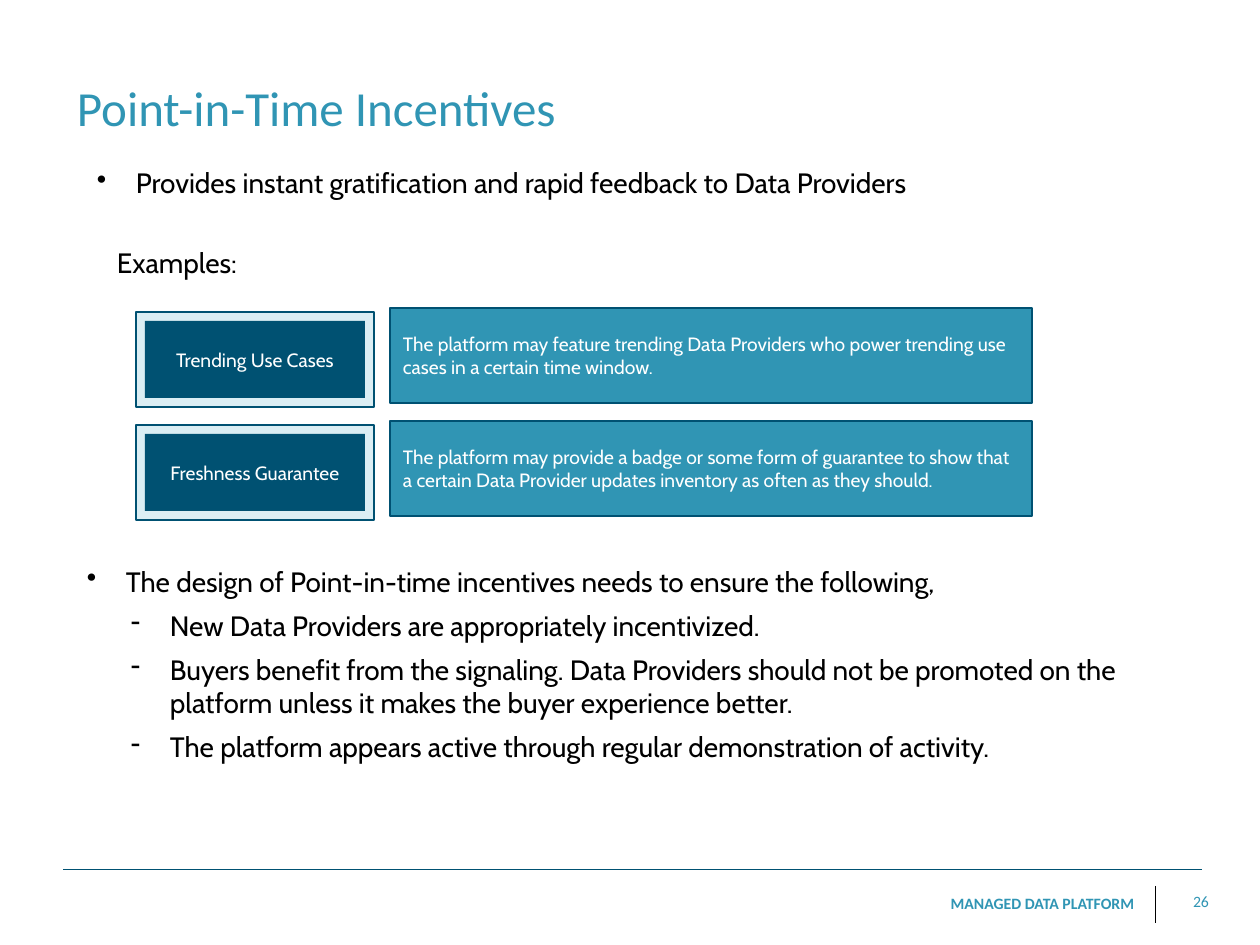
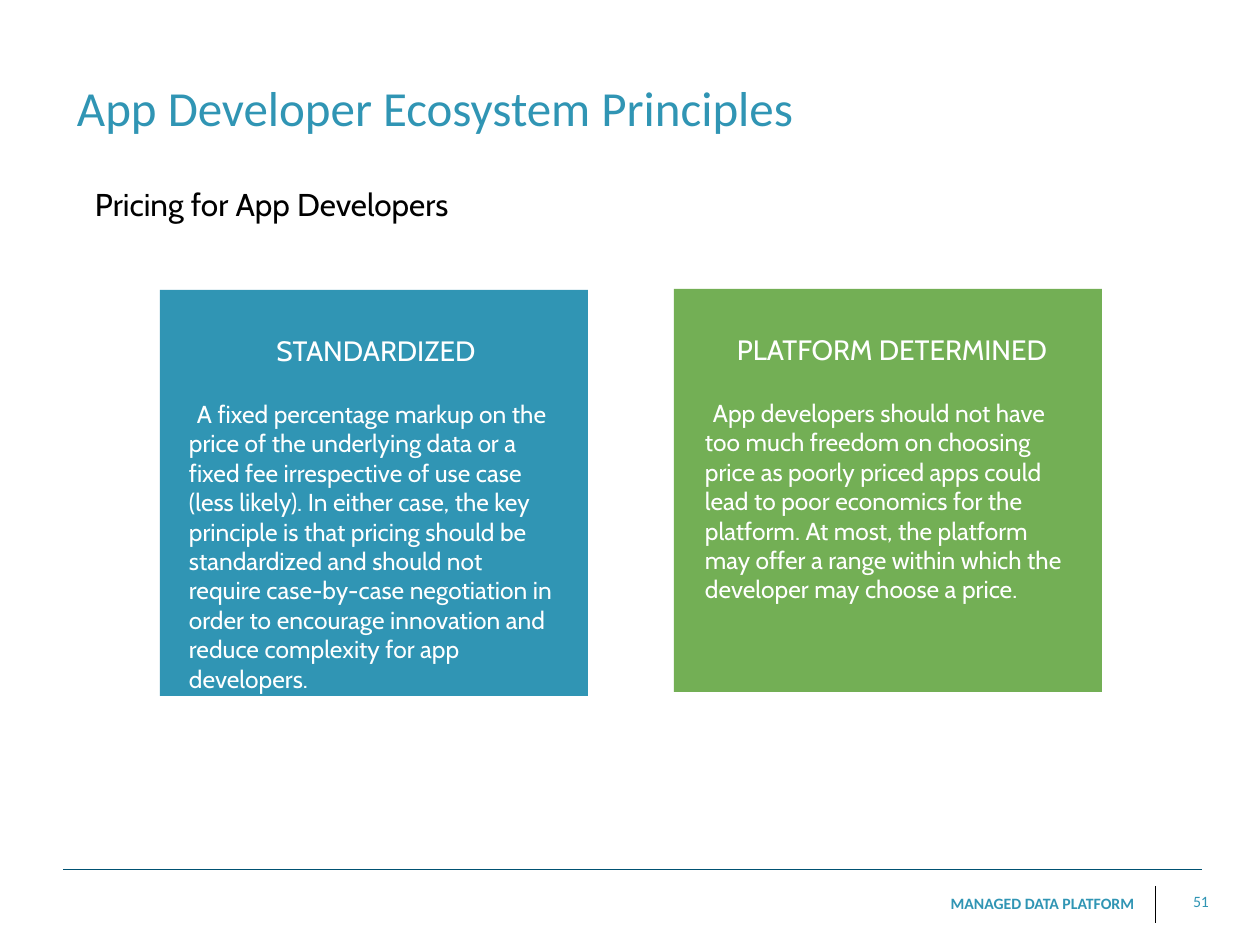
from lxml import etree
from pptx import Presentation
from pptx.dml.color import RGBColor
from pptx.enum.shapes import MSO_CONNECTOR, MSO_SHAPE
from pptx.enum.text import MSO_ANCHOR, MSO_AUTO_SIZE, PP_ALIGN
from pptx.oxml.ns import qn
from pptx.util import Emu, Pt

LEFT, CENTER, RIGHT = PP_ALIGN.LEFT, PP_ALIGN.CENTER, PP_ALIGN.RIGHT
TOP, MIDDLE = MSO_ANCHOR.TOP, MSO_ANCHOR.MIDDLE
RECTANGLE, STRAIGHT = MSO_SHAPE.RECTANGLE, MSO_CONNECTOR.STRAIGHT

EMU_PER_PX = 914400 / 126
SLIDE_SIZE = (1260, 945)
TITLE_BOX = (71, 16, 1135, 181)
TITLE_ONLY = 5
INSET = 6
HEADING_FONT, BODY_FONT = "Calibri", "Cabin"
COLORS = {
    "teal": "3095B4",
    "navy": "005172",
    "ice": "DBEEF4",
    "green": "73AF55",
    "white": "FFFFFF",
    "black": "000000",
}


def px(length):
    return Emu(round(length * EMU_PER_PX))


def color(name):
    return RGBColor.from_string(COLORS[name])


# Drawing helpers

def set_bullet(paragraph, character):
    bullet = etree.SubElement(paragraph._p.get_or_add_pPr(), qn("a:buChar"))
    bullet.set("char", character)


def set_indent(paragraph, margin, first_line):
    properties = paragraph._p.get_or_add_pPr()
    properties.set("marL", str(px(margin)))
    properties.set("indent", str(px(first_line)))


def write_text(shape, *texts, size, font=BODY_FONT, fill="black", bold=False,
               align=LEFT, anchor=TOP, inset=INSET):
    """Fill a shape with paragraphs and return them."""
    frame = shape.text_frame
    frame.word_wrap = True
    frame.auto_size = MSO_AUTO_SIZE.NONE
    frame.vertical_anchor = anchor
    frame.margin_left = frame.margin_right = px(inset)
    frame.margin_top = frame.margin_bottom = px(INSET)
    paragraphs = []
    for index, text in enumerate(texts):
        paragraph = frame.add_paragraph() if index else frame.paragraphs[0]
        paragraph.alignment = align
        paragraph.space_before = Pt(6 if index else 0)
        run = paragraph.add_run()
        run.text = text
        run.font.name = font
        run.font.size = Pt(size)
        run.font.bold = bold
        run.font.color.rgb = color(fill)
        paragraphs.append(paragraph)
    return paragraphs


def add_text(slide, box, *texts, **text_format):
    shape = slide.shapes.add_textbox(*map(px, box))
    return write_text(shape, *texts, **text_format)


def add_rectangle(slide, box, fill, line_width=0):
    shape = slide.shapes.add_shape(RECTANGLE, *map(px, box))
    shape.shadow.inherit = False
    shape.fill.solid()
    shape.fill.fore_color.rgb = color(fill)
    if line_width:
        shape.line.color.rgb = color("navy")
        shape.line.width = Pt(line_width)
    else:
        shape.line.fill.background()
    return shape


def add_rule(slide, ends, line_color):
    rule = slide.shapes.add_connector(STRAIGHT, *map(px, ends))
    rule.line.color.rgb = color(line_color)
    rule.line.width = Pt(0.5)
    etree.SubElement(rule._element.spPr, qn("a:effectLst"))


# Shared title and footer

def add_footer(slide, number):
    add_rule(slide, (63, 869, 1202, 869), "navy")
    add_rule(slide, (1155, 886, 1155, 923), "black")
    footer_format = dict(size=9, font=HEADING_FONT, fill="teal", align=RIGHT)
    add_text(slide, (762, 888, 378, 32), "MANAGED DATA PLATFORM",
             bold=True, **footer_format)
    add_text(slide, (1183, 886, 32, 32), str(number), **footer_format)


def add_titled_slide(presentation, title, number):
    slide = presentation.slides.add_slide(presentation.slide_layouts[TITLE_ONLY])
    placeholder = slide.shapes.title
    placeholder.left, placeholder.top, placeholder.width, placeholder.height = map(
        px, TITLE_BOX)
    write_text(placeholder, title, size=28, font=HEADING_FONT, fill="teal",
               anchor=MIDDLE)
    add_footer(slide, number)
    return slide


# Regions

def add_bullets(slide, box, heading, *details):
    paragraphs = add_text(slide, box, heading, *details, size=16)
    for index, paragraph in enumerate(paragraphs):
        paragraph.level = 1 if index else 0
        set_indent(paragraph, 83 if index else 39, -39)
        set_bullet(paragraph, "-" if index else "•")


def add_example(slide, left, top, label, description):
    # Framed label
    frame_top, border = top + 4, 9
    frame_width, height = 238, 95
    add_rectangle(slide, (left, frame_top, frame_width, height), "ice", 1)
    label_shape = add_rectangle(
        slide, (left + border, frame_top + border,
                frame_width - 2 * border, height - 2 * border), "navy")
    write_text(label_shape, label, size=11, fill="white", align=CENTER,
               anchor=MIDDLE)
    # Description
    panel = add_rectangle(slide, (left + 254, top, 642, height), "teal", 0.75)
    write_text(panel, description, size=11, fill="white", anchor=MIDDLE, inset=13)


def add_card(slide, box, fill, text_offset, heading, body):
    left, top = box[:2]
    add_rectangle(slide, box, fill)
    text_left = left + text_offset
    add_text(slide, (text_left + 5, top + 26, 376, 68), heading, size=16,
             fill="white", align=CENTER, anchor=MIDDLE)
    paragraph, = add_text(slide, (text_left, top + 103, 378, 292), body,
                          size=14, fill="white")
    set_indent(paragraph, 0, 8)


# Slides

def build_incentives(presentation):
    slide = add_titled_slide(presentation, "Point-in-Time Incentives", 26)
    add_bullets(slide, (91, 160, 1120, 45),
                "Provides instant gratification and rapid feedback to Data Providers")
    add_text(slide, (111, 240, 253, 45), "Examples:", size=16)
    examples = [
        ("Trending Use Cases",
         "The platform may feature trending Data Providers who power trending "
         "use cases in a certain time window."),
        ("Freshness Guarantee",
         "The platform may provide a badge or some form of guarantee to show "
         "that a certain Data Provider updates inventory as often as they should."),
    ]
    for row, (label, description) in enumerate(examples):
        add_example(slide, 136, 308 + 113 * row, label, description)
    add_bullets(
        slide, (81, 558, 1120, 210),
        "The design of Point-in-time incentives needs to ensure the following,",
        "New Data Providers are appropriately incentivized.",
        "Buyers benefit from the signaling. Data Providers should not be promoted "
        "on the platform unless it makes the buyer experience better.",
        "The platform appears active through regular demonstration of activity.")


def build_pricing(presentation):
    slide = add_titled_slide(presentation, "App Developer Ecosystem Principles", 51)
    add_text(slide, (89, 179, 601, 49), "Pricing for App Developers", size=18)
    add_card(slide, (160, 290, 428, 406), "teal", 23, "STANDARDIZED",
             "A fixed percentage markup on the price of the underlying data or a "
             "fixed fee irrespective of use case (less likely). In either case, "
             "the key principle is that pricing should be standardized and should "
             "not require case-by-case negotiation in order to encourage "
             "innovation and reduce complexity for app developers.")
    add_card(slide, (674, 289, 428, 403), "green", 25, "PLATFORM DETERMINED",
             "App developers should not have too much freedom on choosing price "
             "as poorly priced apps could lead to poor economics for the platform. "
             "At most, the platform may offer a range within which the developer "
             "may choose a price.")


def main():
    presentation = Presentation()
    presentation.slide_width, presentation.slide_height = map(px, SLIDE_SIZE)
    build_incentives(presentation)
    build_pricing(presentation)
    presentation.save("out.pptx")


if __name__ == "__main__":
    main()
